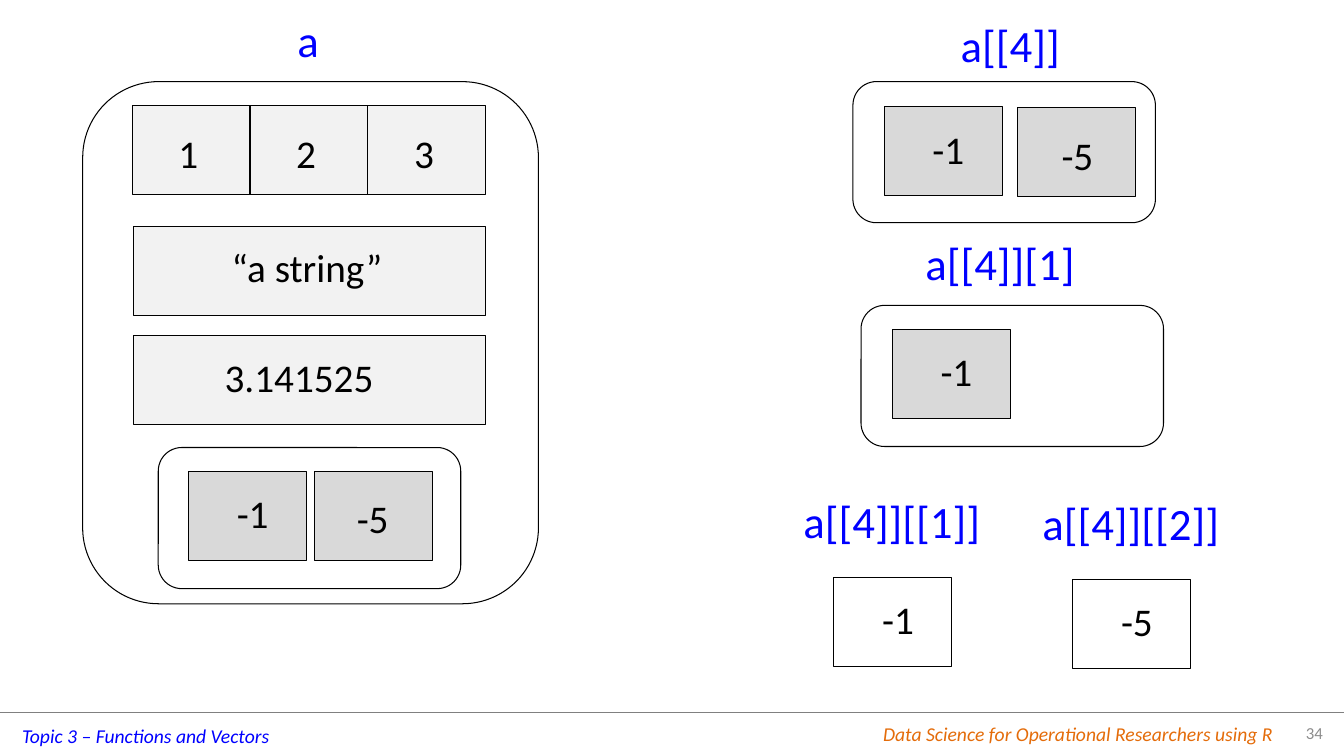
from lxml import etree
from pptx import Presentation
from pptx.dml.color import RGBColor
from pptx.enum import shapes, text
from pptx.oxml.ns import qn
from pptx.util import Inches, Pt

BLUE, BLACK, PALE, GREY = "0000FF", "000000", "F2F2F2", "D9D9D9"
CELL_W, CELL_H, WIDE = 1.17, 0.88, 3.5
PAIR = 3, 1.4

# left, top, width, height, corner radius / shorter side
FRAMES = [
    (0.82, 0.81, 4.52, 5.18),
    (1.57, 4.44, *PAIR),
    (8.46, 0.81, *PAIR),
    (8.54, 3.03, *PAIR),
]
# left, top, width, fill, value, offset of the value inside the cell
CELLS = [
    *[(1.31 + i * CELL_W, 1.05, CELL_W, PALE, str(i + 1), (0.36, 0.18))
      for i in range(3)],
    (1.32, 2.25, WIDE, PALE, "“a string”", (0.88, 0.11)),
    (1.32, 3.33, WIDE, PALE, "3.141525", (0.81, 0.13)),
    (1.87, 4.68, CELL_W, GREY, "-1", (0.38, 0.13)),
    (3.12, 4.68, CELL_W, GREY, "-5", (0.32, 0.17)),
    (8.77, 1.06, CELL_W, GREY, "-1", (0.38, 0.13)),
    (10.09, 1.07, CELL_W, GREY, "-5", (0.34, 0.18)),
    (8.85, 3.27, CELL_W, GREY, "-1", (0.38, 0.13)),
    (8.27, 5.73, CELL_W, None, "-1", (0.38, 0.13)),
    (10.64, 5.75, CELL_W, None, "-5", (0.38, 0.13)),
]
WIDTHS = {1: 0.4, 2: 0.52, 8: 1.69, 10: 1.7}  # by number of characters
# left, top, width, label
HEADS = [
    (2.85, 0.08, 0.42, "a"),
    (9.43, 0.13, 1.19, "a[[4]]"),
    (9.08, 2.29, 1.7, "a[[4]][1]"),
    (7.87, 4.85, 1.97, "a[[4]][[1]]"),
    (10.24, 4.87, 1.97, "a[[4]][[2]]"),
]
# left, top, width, colour, wording
FOOT = [
    (0.12, 7.13, 2.68, BLUE, "Topic 3 – Functions and Vectors"),
    (8.66, 7.11, 4.11, "E46C0A",
     "Data Science for Operational Researchers using R"),
]

deck = Presentation()
deck.slide_width, deck.slide_height = Inches(13.33), Inches(7.5)
slide = deck.slides.add_slide(deck.slide_layouts[6])


def rgb(code):
    return RGBColor.from_string(code)


def box(kind, at, fill=None):
    shape = slide.shapes.add_shape(kind, *map(Inches, at))
    shape.shadow.inherit = False
    if fill:
        shape.fill.solid()
        shape.fill.fore_color.rgb = rgb(fill)
    else:
        shape.fill.background()
    shape.line.color.rgb = rgb(BLACK)
    shape.line.width = Pt(0.75)


def label(words, at, size, color, italic=False, **form):
    """Add a one-line text box; form holds text frame values to change."""
    frame = slide.shapes.add_textbox(*map(Inches, at)).text_frame
    look = {"word_wrap": False,
            "auto_size": text.MSO_AUTO_SIZE.SHAPE_TO_FIT_TEXT, **form}
    for key, value in look.items():
        setattr(frame, key, value)
    run = frame.paragraphs[0].add_run()
    run.text = words
    font = {"name": "Calibri", "size": Pt(size), "italic": italic}
    for key, value in font.items():
        setattr(run.font, key, value)
    run.font.color.rgb = rgb(color)
    return frame.paragraphs[0]


rule = slide.shapes.add_connector(
    shapes.MSO_CONNECTOR.STRAIGHT,
    *map(Inches, (0, 7.07, 13.33, 7.07)))
rule.line.color.rgb = rgb("808080")
rule.line.width = Pt(0.25)
etree.SubElement(rule.element.spPr, qn("a:effectLst"))

for x, y, w, color, words in FOOT:
    label(words, (x, y, w, 0.34), 14, color, italic=True)
page = label("34", (12.67, 7.07, 0.55, 0.39), 12, "8C8C8C", word_wrap=True,
             auto_size=text.MSO_AUTO_SIZE.NONE,
             vertical_anchor=text.MSO_ANCHOR.MIDDLE)
page.alignment = text.PP_ALIGN.RIGHT

for at in FRAMES:
    box(shapes.MSO_SHAPE.ROUNDED_RECTANGLE, at)
for x, y, w, fill, value, (dx, dy) in CELLS:
    box(shapes.MSO_SHAPE.RECTANGLE, (x, y, w, CELL_H), fill)
    label(value, (x + dx, y + dy, WIDTHS[len(value)], 0.57), 28, BLACK)
for x, y, w, words in HEADS:
    label(words, (x, y, w, 0.64), 32, BLUE)

deck.save("out.pptx")
